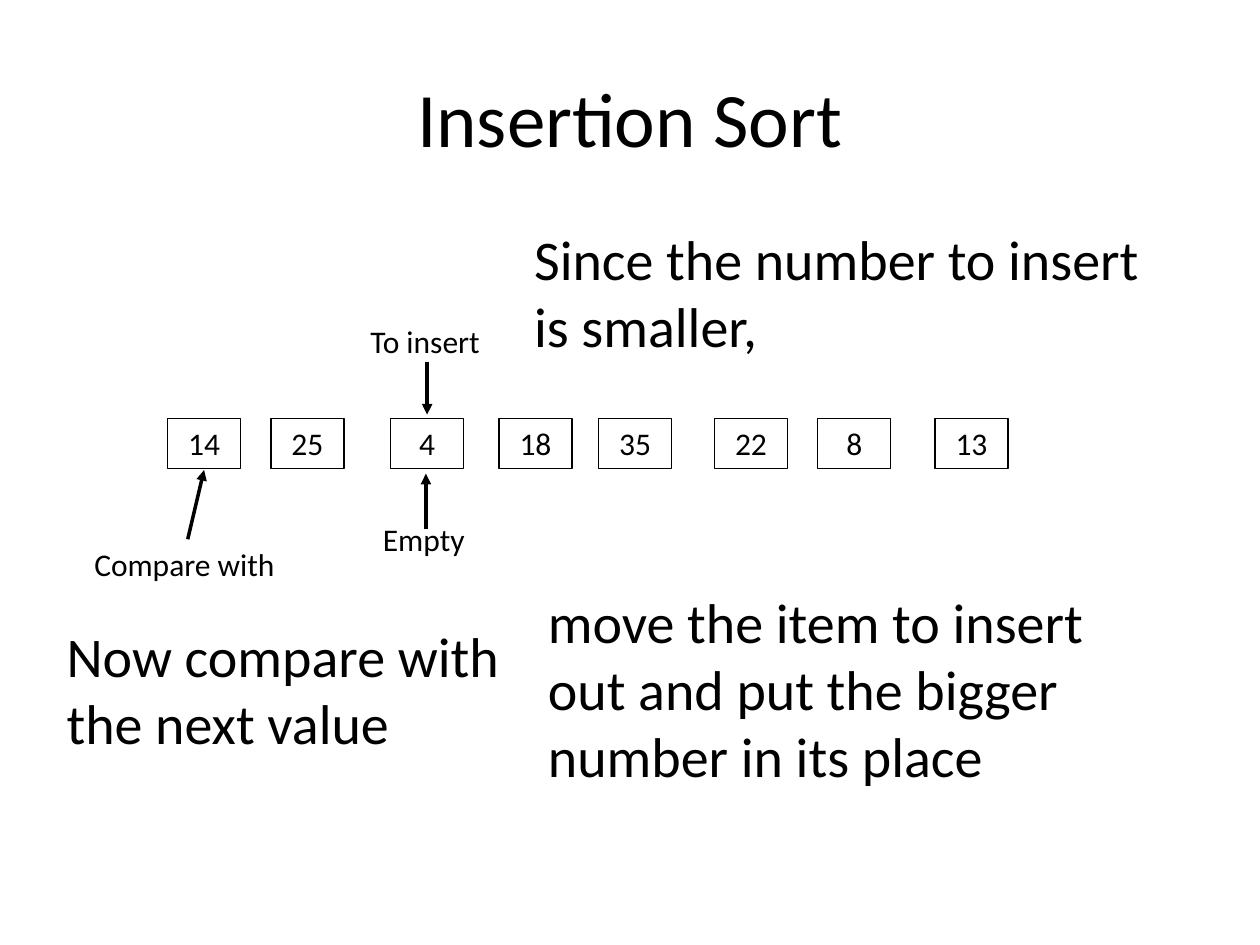
from typing import NamedTuple

import pptx
import pptx.dml.color
import pptx.enum.shapes
import pptx.enum.text
import pptx.oxml
import pptx.oxml.ns
import pptx.util

Inches = pptx.util.Inches
Pt = pptx.util.Pt
ALIGN = pptx.enum.text.PP_ALIGN
ANCHOR = pptx.enum.text.MSO_ANCHOR
BLACK = "000000"
LABEL_SIZE = 18
BODY_SIZE = 32
CELL_TOP, CELL_WIDTH, CELL_HEIGHT = 3.32, 0.58, 0.4


class Cell(NamedTuple):
    left: float
    value: str


class Label(NamedTuple):
    text: str
    left: float
    top: float
    width: float
    height: float
    size: int = LABEL_SIZE
    wrap: bool = False
    align: ALIGN = ALIGN.LEFT
    anchor: ANCHOR = ANCHOR.TOP


class Arrow(NamedTuple):
    x1: float
    y1: float
    x2: float
    y2: float


CELLS = [
    Cell(1.33, "14"), Cell(2.15, "25"), Cell(3.1, "4"), Cell(3.96, "18"),
    Cell(4.75, "35"), Cell(5.67, "22"), Cell(6.49, "8"), Cell(7.42, "13"),
]
LABELS = [
    Label("Insertion Sort", 0.5, 0.3, 9, 1.25, 44, True, ALIGN.CENTER, ANCHOR.MIDDLE),
    Label("To insert", 2.84, 2.51, 1.09, 0.4),
    Label("Compare with", 0.65, 4.28, 1.7, 0.4),
    Label("Empty", 2.94, 4.08, 0.99, 0.4),
    Label("Since the number to insert is smaller,", 4.14, 1.73, 5.08, 1.18, BODY_SIZE, True),
    Label("move the item to insert out and put the bigger number in its place",
          4.25, 4.61, 4.75, 1.72, BODY_SIZE, True),
    Label("Now compare with the next value", 0.43, 4.88, 3.68, 1.18, BODY_SIZE, True),
]
ARROWS = [
    Arrow(3.39, 2.87, 3.39, 3.29),
    Arrow(1.49, 4.28, 1.62, 3.73),
    Arrow(3.38, 4.2, 3.38, 3.76),
]


def color(value: str) -> pptx.dml.color.RGBColor:
    return pptx.dml.color.RGBColor.from_string(value)


def write_text(sp, text: str, size: int, wrap: bool, align: ALIGN, anchor: ANCHOR) -> None:
    tf = sp.text_frame
    for name, value in {"word_wrap": wrap, "vertical_anchor": anchor}.items():
        setattr(tf, name, value)
    p = tf.paragraphs[0]
    p.alignment = align
    r = p.add_run()
    r.text = text
    for name, value in {"name": "Calibri", "size": Pt(size)}.items():
        setattr(r.font, name, value)
    r.font.color.rgb = color(BLACK)


def draw_cell(s, cell: Cell) -> None:
    sp = s.shapes.add_shape(
        pptx.enum.shapes.MSO_SHAPE.RECTANGLE, Inches(cell.left), Inches(CELL_TOP),
        Inches(CELL_WIDTH), Inches(CELL_HEIGHT))
    sp.shadow.inherit = False
    sp.fill.background()
    sp.line.color.rgb = color(BLACK)
    sp.line.width = Pt(0.75)
    write_text(sp, cell.value, LABEL_SIZE, True, ALIGN.CENTER, ANCHOR.TOP)


def draw_label(s, label: Label) -> None:
    sp = s.shapes.add_textbox(
        Inches(label.left), Inches(label.top), Inches(label.width), Inches(label.height))
    write_text(sp, label.text, label.size, label.wrap, label.align, label.anchor)


def draw_arrow(s, arrow: Arrow) -> None:
    sp = s.shapes.add_connector(
        pptx.enum.shapes.MSO_CONNECTOR.STRAIGHT, *(Inches(v) for v in arrow))
    sp.line.color.rgb = color(BLACK)
    sp.line.width = Pt(2)
    ns = pptx.oxml.ns.nsdecls("a")
    ln = sp.line._get_or_add_ln()
    ln.append(pptx.oxml.parse_xml(f'<a:tailEnd {ns} type="triangle"/>'))
    ln.getparent().append(pptx.oxml.parse_xml(f"<a:effectLst {ns}/>"))


def main() -> None:
    prs = pptx.Presentation()
    prs.slide_width, prs.slide_height = Inches(10), Inches(7.5)
    s = prs.slides.add_slide(prs.slide_layouts[6])
    for draw, items in ((draw_cell, CELLS), (draw_label, LABELS), (draw_arrow, ARROWS)):
        for item in items:
            draw(s, item)
    prs.save("out.pptx")


if __name__ == "__main__":
    main()
